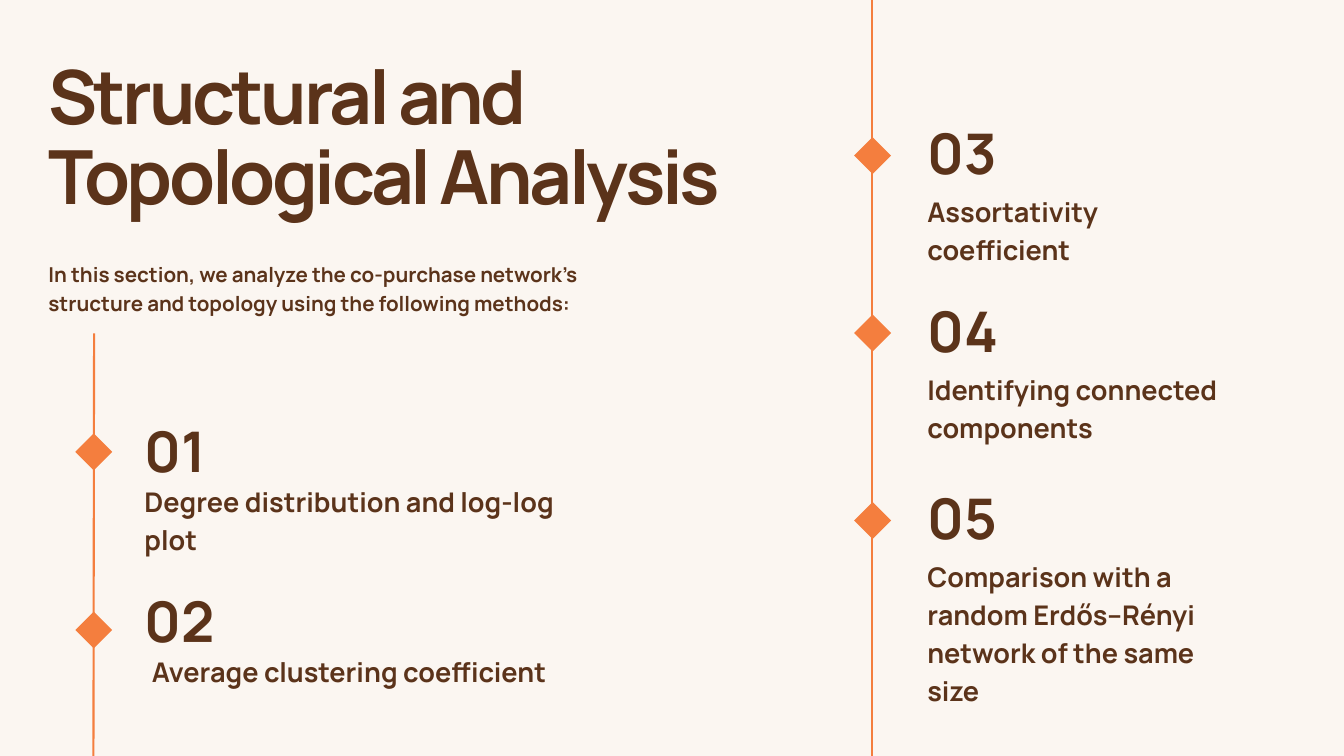
from dataclasses import dataclass

from lxml import etree
from pptx import Presentation
from pptx import util as u
from pptx.dml.color import RGBColor
from pptx.enum import shapes, text
from pptx.oxml.ns import qn

# The grid has 20 columns and 11.25 rows of one inch each.
COLUMNS, ROWS = 20, 11.25
CELL = u.Inches(1)
BROWN, ORANGE, CREAM = "5B331A", "F47E3E", "FBF6F1"
FONT = "Manrope"
MARKER = 0.55
NUMBER_SIZE = (2.4, 0.89)


@dataclass(frozen=True)
class Step:
    number: str
    label: str
    top: float
    marker_top: float
    label_size: tuple[float, float]
    label_indent: float = 0


@dataclass(frozen=True)
class Timeline:
    start: tuple[float, float]
    end: tuple[float, float]
    marker_left: float
    text_left: float
    label_drop: float
    steps: tuple[Step, ...]


TIMELINES = (
    Timeline((12.97, 13.56), (12.97, -1.12), 12.71, 13.8, 0.93, (
        Step("03", "Assortativity coefficient", 1.9, 2.04, (4.56, 0.55)),
        Step("04", "Identifying connected components", 4.55, 4.68, (4.56, 1.12)),
        Step("05", "Comparison with a random Erdős–Rényi network of the same size",
             7.33, 7.47, (4.77, 1.68)),
    )),
    Timeline((1.38, 17.98), (1.4, 4.96), 1.12, 2.15, 0.81, (
        Step("01", "Degree distribution and log-log plot", 6.34, 6.45, (6.96, 0.55)),
        Step("02", "Average clustering coefficient", 8.87, 9.1, (6.96, 0.55), 0.11),
    )),
)


def grid(*cells: float) -> list[int]:
    """Turn grid columns and rows into slide lengths."""
    return [round(cell * CELL) for cell in cells]


def colour(value: str) -> RGBColor:
    return RGBColor.from_string(value)


def add_text(page, content: str, left: float, top: float, width: float, height: float,
             *, size: float, leading: float, tracking: float = 0) -> None:
    box = page.shapes.add_textbox(*grid(left, top, width, height))
    frame = box.text_frame
    frame.word_wrap = True
    frame.auto_size = text.MSO_AUTO_SIZE.SHAPE_TO_FIT_TEXT
    frame.margin_left = frame.margin_right = frame.margin_top = frame.margin_bottom = 0
    para = frame.paragraphs[0]
    para.line_spacing = u.Pt(leading)
    span = para.add_run()
    span.text = content
    span.font.name = FONT
    span.font.size = u.Pt(size)
    span.font.bold = True
    span.font.color.rgb = colour(BROWN)
    if tracking:
        span.font._element.set("spc", str(round(tracking * 100)))


def add_axis(page, start: tuple[float, float], end: tuple[float, float]) -> None:
    axis = page.shapes.add_connector(shapes.MSO_CONNECTOR.STRAIGHT, *grid(*start, *end))
    axis.line.color.rgb = colour(ORANGE)
    axis.line.width = u.Pt(2.25)
    etree.SubElement(axis._element.spPr, qn("a:effectLst"))


def add_marker(page, left: float, top: float) -> None:
    marker = page.shapes.add_shape(shapes.MSO_SHAPE.DIAMOND, *grid(left, top, MARKER, MARKER))
    marker.shadow.inherit = False
    marker.fill.solid()
    marker.fill.fore_color.rgb = colour(ORANGE)
    marker.line.fill.background()


def add_timeline(page, timeline: Timeline) -> None:
    add_axis(page, timeline.start, timeline.end)
    for step in timeline.steps:
        add_marker(page, timeline.marker_left, step.marker_top)
        add_text(page, step.number, timeline.text_left, step.top, *NUMBER_SIZE,
                 size=60, leading=61.8)
        add_text(page, step.label, timeline.text_left + step.label_indent,
                 step.top + timeline.label_drop, *step.label_size, size=29, leading=40.6)


def main() -> None:
    deck = Presentation()
    deck.slide_width, deck.slide_height = grid(COLUMNS, ROWS)
    page = deck.slides.add_slide(deck.slide_layouts[6])
    page.background.fill.solid()
    page.background.fill.fore_color.rgb = colour(CREAM)

    add_text(page, "Structural and Topological Analysis", 0.72, 0.87, 10.03, 2.44,
             size=80, leading=86.4, tracking=-3.7)
    add_text(page, "In this section, we analyze the co-purchase network's structure "
             "and topology using the following methods:", 0.72, 3.84, 8.39, 0.85,
             size=22, leading=30.8)
    for timeline in TIMELINES:
        add_timeline(page, timeline)
    deck.save("out.pptx")


if __name__ == "__main__":
    main()
